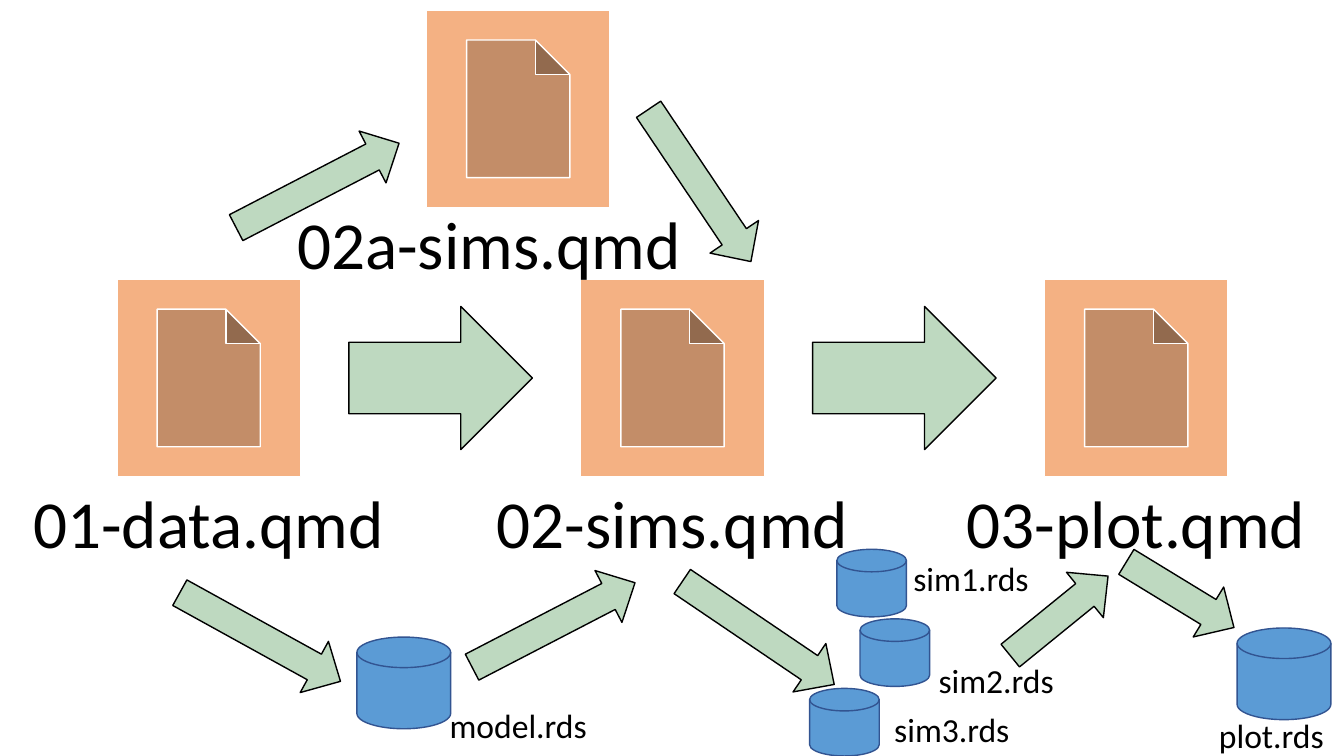
import pptx
import pptx.util
import pptx.dml.color
import pptx.enum.shapes
import pptx.enum.text

Inches = pptx.util.Inches
SHAPE = pptx.enum.shapes.MSO_SHAPE

COLOURS = {
    "text": "000000",
    "file": "F4B183",
    "file_line": "FFFFFF",
    "arrow": "BED9C0",
    "arrow_line": "000000",
    "disk": "5B9BD5",
    "disk_line": "325491",
}
FONT = "Calibri"
FILE_SIZE = (1.82, 1.96)
SMALL_ARROW_HEIGHT = 0.58


def colour(name):
    return pptx.dml.color.RGBColor.from_string(COLOURS[name])


def add_text(slide, text, left, top, width, height, size, name="text"):
    box = slide.shapes.add_textbox(
        Inches(left), Inches(top), Inches(width), Inches(height))
    frame = box.text_frame
    frame.word_wrap = True
    frame.auto_size = pptx.enum.text.MSO_AUTO_SIZE.SHAPE_TO_FIT_TEXT
    paragraph = frame.paragraphs[0]
    paragraph.alignment = pptx.enum.text.PP_ALIGN.CENTER
    run = paragraph.add_run()
    run.text = text
    run.font.size = pptx.util.Pt(size)
    run.font.name = FONT
    run.font.color.rgb = colour(name)


def add_shape(slide, kind, left, top, width, height, name):
    shape = slide.shapes.add_shape(
        kind, Inches(left), Inches(top), Inches(width), Inches(height))
    shape.shadow.inherit = False
    shape.fill.solid()
    shape.fill.fore_color.rgb = colour(name)
    shape.line.color.rgb = colour(name + "_line")
    shape.line.width = pptx.util.Pt(1)
    return shape


def add_file(slide, caption, left, top, caption_width, shift=(0, 0)):
    """Document icon with its caption centred below, moved by shift."""
    width, height = FILE_SIZE
    caption_left = left + (width - caption_width) / 2 + shift[0]
    add_text(slide, caption, caption_left, top + height + shift[1],
             caption_width, 0.91, size=48)
    add_shape(slide, SHAPE.ACTION_BUTTON_DOCUMENT, left, top, width, height, "file")


def add_small_arrow(slide, left, top, width, angle):
    arrow = add_shape(slide, SHAPE.RIGHT_ARROW, left, top, width,
                      SMALL_ARROW_HEIGHT, "arrow")
    arrow.adjustments[1] = 0.51
    arrow.rotation = angle


def draw_pipeline(slide, left, top):
    """Main row: three files joined by two large arrows."""
    pitch = 4.6
    stages = [("01-data.qmd", 3.81), ("02-sims.qmd", 3.81), ("03-plot.qmd", 4.13)]
    for index, (caption, caption_width) in enumerate(stages):
        stage_left = left + index * pitch
        add_file(slide, caption, stage_left, top, caption_width)
        if index < len(stages) - 1:
            add_shape(slide, SHAPE.RIGHT_ARROW, stage_left + pitch / 2, top + 0.27,
                      1.82, 1.42, "arrow")


def draw_saved_data(slide, left, top):
    """Bottom row: data files written and read by the stages."""
    arrows = [  # left, top, width, angle
        (0, 0.58, 1.82, 28.9),
        (2.91, 0.46, 1.82, 332.6),
        (4.94, 0.54, 1.82, 34.1),
        (8.21, 0.37, 1.25, 320.9),
        (9.41, 0.16, 1.25, 31.4),
    ]
    for x, y, width, angle in arrows:
        add_small_arrow(slide, left + x, top + y, width, angle)

    large, small = (0.93, 0.91), (0.69, 0.67)
    disks = [  # label, left, top, disk size, label offset from the disk
        ("model.rds", 1.87, 0.87, large, (0.69, 0.62)),
        ("sim1.rds", 6.63, 0, small, (0.42, 0.04)),
        ("sim2.rds", 6.86, 0.69, small, (0.44, 0.36)),
        ("sim3.rds", 6.36, 1.38, small, (0.5, 0.15)),
        ("plot.rds", 10.6, 0.78, large, (-0.57, 0.81)),
    ]
    for label, x, y, size, offset in disks:
        add_shape(slide, SHAPE.FLOWCHART_MAGNETIC_DISK, left + x, top + y,
                  *size, "disk")
        add_text(slide, label, left + x + offset[0], top + y + offset[1],
                 1.82, 0.5, size=24)


def draw_side_branch(slide, left, top):
    """Top row: the extra simulation file and the arrows around it."""
    add_file(slide, "02a-sims.qmd", left + 1.99, top, 4.56, shift=(-0.29, -0.1))
    add_small_arrow(slide, left, top + 1.45, 1.82, 332.6)
    add_small_arrow(slide, left + 3.79, top + 1.45, 1.82, 56.1)


def main():
    presentation = pptx.Presentation()
    presentation.slide_width = Inches(13.33)
    presentation.slide_height = Inches(7.5)
    slide = presentation.slides.add_slide(presentation.slide_layouts[6])
    draw_pipeline(slide, 1.16, 2.77)
    draw_saved_data(slide, 1.67, 5.45)
    draw_side_branch(slide, 2.24, 0.1)
    presentation.save("out.pptx")


if __name__ == "__main__":
    main()
